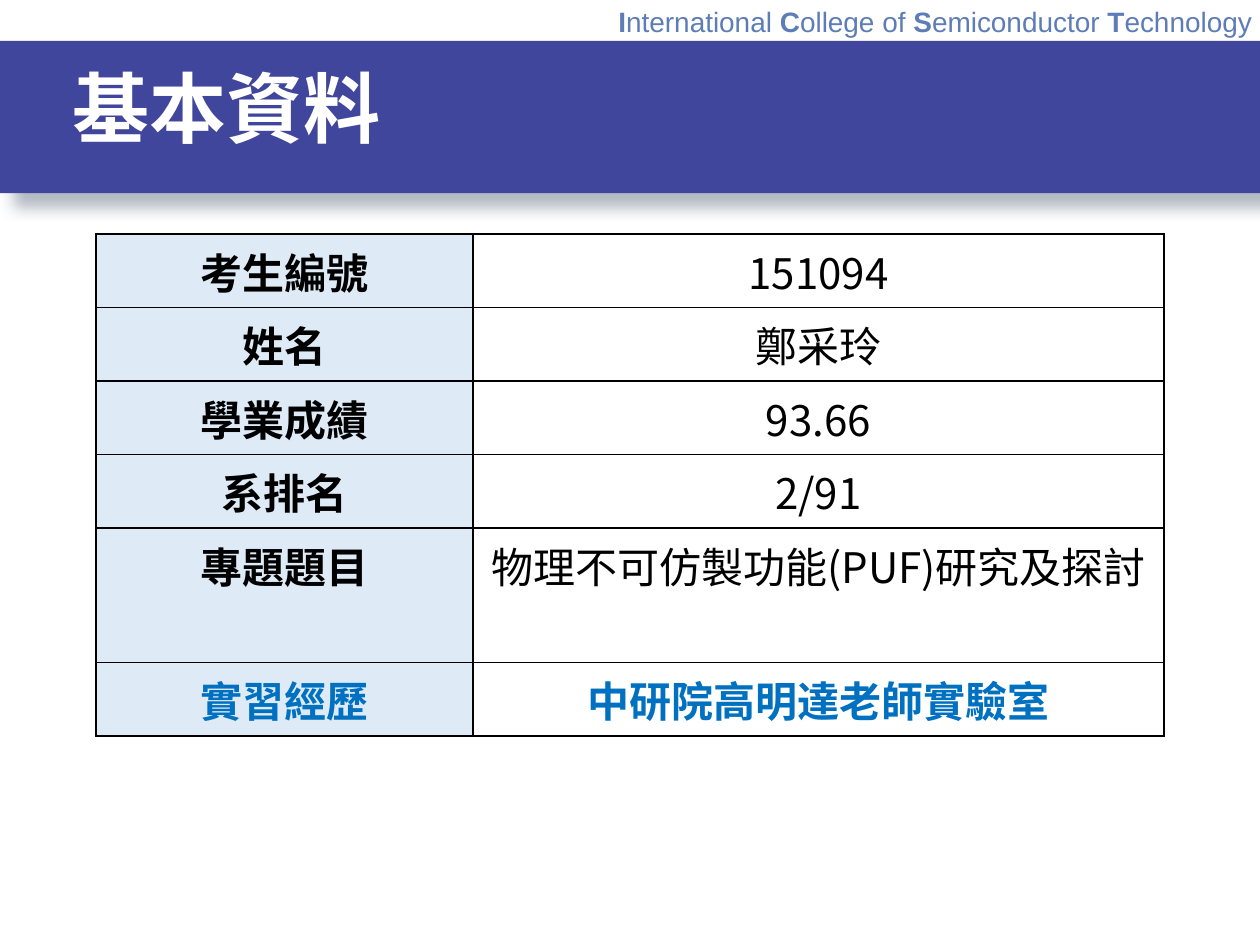
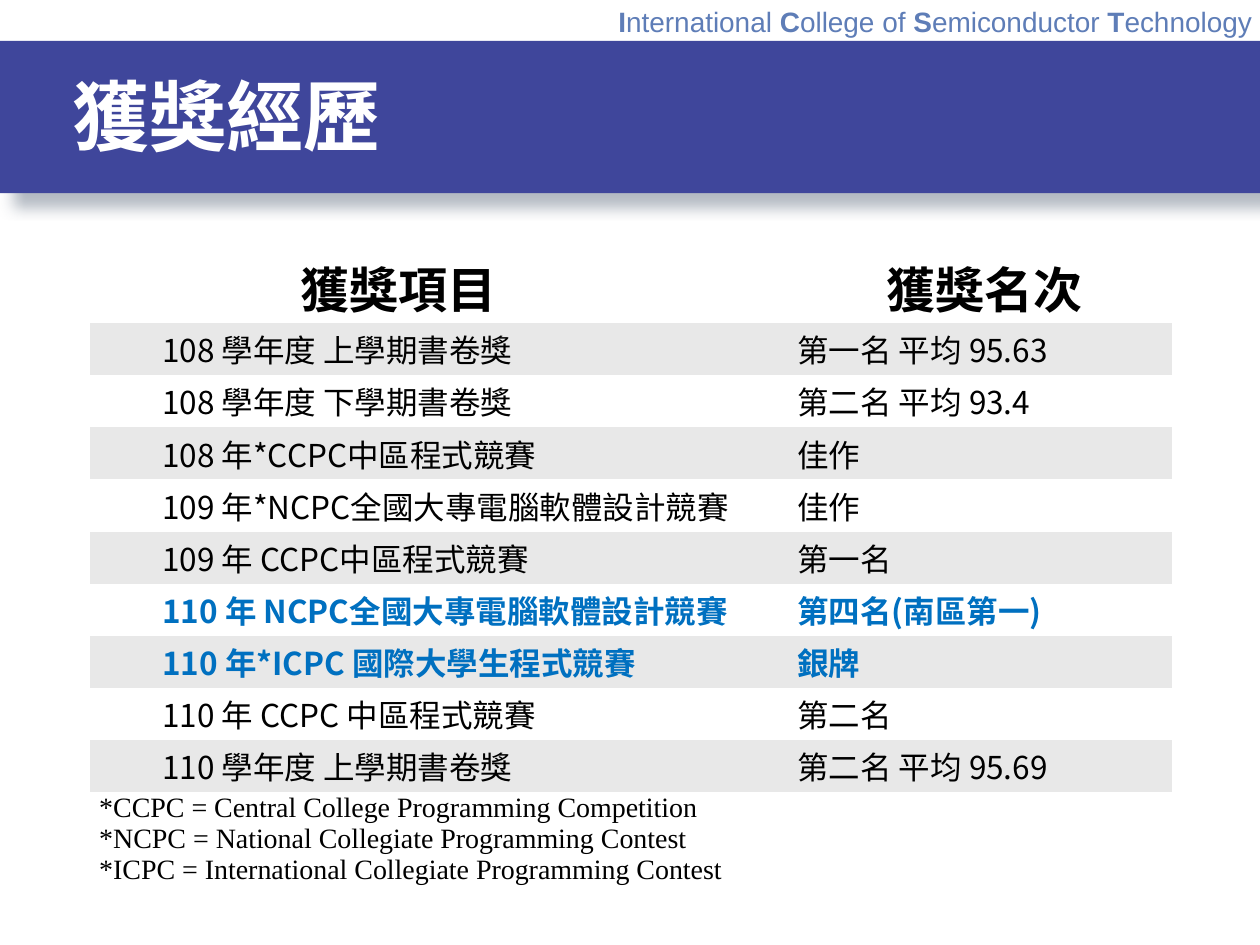
from dataclasses import dataclass, replace

from lxml.etree import SubElement
from pptx import Presentation
from pptx.dml.color import RGBColor
from pptx.enum.shapes import MSO_SHAPE
from pptx.enum.text import MSO_ANCHOR, PP_ALIGN
from pptx.oxml import parse_xml
from pptx.oxml.ns import nsdecls, qn
from pptx.presentation import Presentation as Deck
from pptx.slide import Slide
from pptx.table import Table, _Cell
from pptx.text.text import _Paragraph
from pptx.util import Pt

BLACK = RGBColor(0x00, 0x00, 0x00)
WHITE = RGBColor(0xFF, 0xFF, 0xFF)
INDIGO = RGBColor(0x3F, 0x46, 0x9B)
STEEL = RGBColor(0x5E, 0x7D, 0xB7)
HIGHLIGHT = RGBColor(0x00, 0x70, 0xC0)
LABEL_BLUE = RGBColor(0xDE, 0xEB, 0xF7)
STRIPE_GREY = RGBColor(0xE8, 0xE8, 0xE8)

SANS_TC = "Noto Sans CJK TC"
SANS_SC = "Noto Sans CJK SC"
PLAIN_TABLE = "{2D5ABB26-0587-4C30-8999-92F81FD0307C}"
COLLEGE_NAME = ("International", "College", "of", "Semiconductor", "Technology")


@dataclass(frozen=True)
class TextStyle:
    """The look of one paragraph."""

    size: float
    latin: str
    color: RGBColor = BLACK
    bold: bool = False
    east_asian: str = SANS_TC


@dataclass(frozen=True)
class Profile:
    """One labelled fact about the applicant."""

    label: str
    value: str
    highlighted: bool = False
    height: float = 42


@dataclass(frozen=True)
class Award:
    """One competition or scholarship and its result."""

    event: str
    result: str
    highlighted: bool = False


TITLE = TextStyle(44, "Calibri", WHITE, True)
COLLEGE = TextStyle(16, "Arial", STEEL)
FACT = TextStyle(24, SANS_TC)
AWARD_HEADING = TextStyle(28, SANS_SC, bold=True, east_asian=SANS_SC)
AWARD_TEXT = TextStyle(18, SANS_SC, east_asian=SANS_SC)
FOOTNOTE = TextStyle(16, "Times New Roman")

PROFILES = (
    Profile("考生編號", "151094"),
    Profile("姓名", "鄭采玲"),
    Profile("學業成績", "93.66"),
    Profile("系排名", "2/91"),
    Profile("專題題目", "物理不可仿製功能(PUF)研究及探討", height=76.8),
    Profile("實習經歷", "中研院高明達老師實驗室", True),
)
AWARDS = (
    Award("108 學年度 上學期書卷獎", "第一名 平均 95.63"),
    Award("108 學年度 下學期書卷獎", "第二名 平均 93.4"),
    Award("108 年*CCPC中區程式競賽", "佳作"),
    Award("109 年*NCPC全國大專電腦軟體設計競賽", "佳作"),
    Award("109 年 CCPC中區程式競賽", "第一名"),
    Award("110 年 NCPC全國大專電腦軟體設計競賽", "第四名(南區第一)", True),
    Award("110 年*ICPC 國際大學生程式競賽", "銀牌", True),
    Award("110 年 CCPC 中區程式競賽", "第二名"),
    Award("110 學年度 上學期書卷獎", "第二名 平均 95.69"),
)
CONTEST_NAMES = (
    "*CCPC = Central College Programming Competition",
    "*NCPC = National Collegiate Programming Contest",
    "*ICPC = International Collegiate Programming Contest",
)


def style_paragraph(paragraph: _Paragraph, style: TextStyle) -> None:
    """Apply a text style to a whole paragraph."""
    font = paragraph.font
    font.size = Pt(style.size)
    font.bold = style.bold
    font.color.rgb = style.color
    font.name = style.latin
    defaults = paragraph._p.get_or_add_pPr().find(qn("a:defRPr"))
    SubElement(defaults, qn("a:ea"), typeface=style.east_asian)


def add_band(slide: Slide) -> None:
    """Draw the title band with its soft shadow."""
    band = slide.shapes.add_shape(MSO_SHAPE.RECTANGLE, Pt(0), Pt(23.4), Pt(720), Pt(87))
    band.fill.solid()
    band.fill.fore_color.rgb = INDIGO
    band.line.fill.background()
    band.shadow.inherit = False
    effects = band._element.spPr.find(qn("a:effectLst"))
    effects.append(parse_xml(
        f'<a:outerShdw {nsdecls("a")} blurRad="{Pt(8)}" dist="{Pt(11)}" dir="2700000" '
        'algn="tl" rotWithShape="0"><a:srgbClr val="44546A"><a:alpha val="40000"/>'
        '</a:srgbClr></a:outerShdw>'))


def add_college_name(slide: Slide) -> None:
    """Write the college name with bold initials above the band."""
    box = slide.shapes.add_textbox(Pt(346.3), Pt(-1), Pt(465), Pt(26.6))
    box.text_frame.word_wrap = True
    paragraph = box.text_frame.paragraphs[0]
    style_paragraph(paragraph, COLLEGE)
    for position, word in enumerate(COLLEGE_NAME):
        gap = " " if position < len(COLLEGE_NAME) - 1 else ""
        if word[0].isupper():
            initial = paragraph.add_run()
            initial.text = word[0]
            initial.font.bold = True
            word = word[1:]
        paragraph.add_run().text = word + gap


def add_titled_slide(deck: Deck, title: str, top: float) -> Slide:
    """Add a slide with the band, college name and title."""
    slide = deck.slides.add_slide(deck.slide_layouts[6])
    add_band(slide)
    add_college_name(slide)
    box = slide.shapes.add_textbox(Pt(34.2), Pt(top), Pt(590.4), Pt(85))
    frame = box.text_frame
    frame.word_wrap = True
    frame.vertical_anchor = MSO_ANCHOR.MIDDLE
    heading = frame.paragraphs[0]
    heading.text = title
    heading.line_spacing = 0.9
    style_paragraph(heading, TITLE)
    return slide


def add_plain_table(slide: Slide, left: float, top: float,
                    widths: list[float], heights: list[float]) -> Table:
    """Add a table without banding or style borders."""
    frame = slide.shapes.add_table(len(heights), len(widths), Pt(left), Pt(top),
                                   Pt(sum(widths)), Pt(sum(heights)))
    table = frame.table
    table.first_row = table.horz_banding = False
    table._tbl.tblPr.find(qn("a:tableStyleId")).text = PLAIN_TABLE
    for column, width in zip(table.columns, widths):
        column.width = Pt(width)
    for row, height in zip(table.rows, heights):
        row.height = Pt(height)
    return table


def fill_cell(cell: _Cell, color: RGBColor | None) -> None:
    """Fill a cell, or leave it clear."""
    if color is None:
        cell.fill.background()
    else:
        cell.fill.solid()
        cell.fill.fore_color.rgb = color


def outline_cell(cell: _Cell) -> None:
    """Draw a thin black border on all four sides."""
    properties = cell._tc.get_or_add_tcPr()
    for position, side in enumerate(("lnL", "lnR", "lnT", "lnB")):
        properties.insert(position, parse_xml(
            f'<a:{side} {nsdecls("a")} w="{Pt(1)}"><a:solidFill>'
            f'<a:srgbClr val="{BLACK}"/></a:solidFill></a:{side}>'))


def set_margins(cell: _Cell, side: float, top: float = 0) -> None:
    """Set the side and top margins and remove the bottom one."""
    cell.margin_left = cell.margin_right = Pt(side)
    cell.margin_top = Pt(top)
    cell.margin_bottom = Pt(0)


def write_cell(cell: _Cell, text: str, style: TextStyle) -> _Paragraph:
    """Write one styled paragraph into a cell."""
    paragraph = cell.text_frame.paragraphs[0]
    paragraph.text = text
    style_paragraph(paragraph, style)
    return paragraph


def build_profile(deck: Deck) -> None:
    """Build the slide of basic facts."""
    slide = add_titled_slide(deck, "基本資料", 21.9)
    heights = [profile.height for profile in PROFILES]
    table = add_plain_table(slide, 54.9, 133.8, [215.4, 394.8], heights)
    for row, profile in enumerate(PROFILES):
        color = HIGHLIGHT if profile.highlighted else BLACK
        for column, text in enumerate((profile.label, profile.value)):
            is_label = column == 0
            cell = table.cell(row, column)
            style = replace(FACT, color=color, bold=is_label or profile.highlighted)
            write_cell(cell, text, style).alignment = PP_ALIGN.CENTER
            fill_cell(cell, LABEL_BLUE if is_label else None)
            outline_cell(cell)


def build_awards(deck: Deck) -> None:
    """Build the slide of awards with the contest names below."""
    slide = add_titled_slide(deck, "獲獎經歷", 26.6)
    heights = [41.3] + [29.8] * len(AWARDS) + [59]
    table = add_plain_table(slide, 51.3, 143.3, [36, 363, 219.6], heights)
    for cell in table.iter_cells():
        fill_cell(cell, None)
        set_margins(cell, 5.4)
        cell.vertical_anchor = MSO_ANCHOR.MIDDLE

    for column, (heading, indent) in enumerate((("獲獎項目", 83.6), ("獲獎名次", 55.6)), 1):
        cell = table.cell(0, column)
        set_margins(cell, 0.75, 0.75)
        paragraph = write_cell(cell, heading, AWARD_HEADING)
        paragraph._p.get_or_add_pPr().set("marL", str(Pt(indent)))

    for row, award in enumerate(AWARDS, 1):
        style = AWARD_TEXT
        if award.highlighted:
            style = replace(style, color=HIGHLIGHT, bold=True)
        for column, text in enumerate((award.event, award.result), 1):
            write_cell(table.cell(row, column), text, style)
        if row % 2:
            for column in range(len(table.columns)):
                fill_cell(table.cell(row, column), STRIPE_GREY)

    last = len(heights) - 1
    footnotes = table.cell(last, 0)
    footnotes.merge(table.cell(last, 1))
    footnotes.vertical_anchor = MSO_ANCHOR.TOP
    footnotes.text = "\n".join(CONTEST_NAMES)
    for paragraph in footnotes.text_frame.paragraphs:
        style_paragraph(paragraph, FOOTNOTE)


def main() -> None:
    """Build and save both slides."""
    deck = Presentation()
    deck.slide_width, deck.slide_height = Pt(720), Pt(540)
    build_profile(deck)
    build_awards(deck)
    deck.save("out.pptx")


if __name__ == "__main__":
    main()
